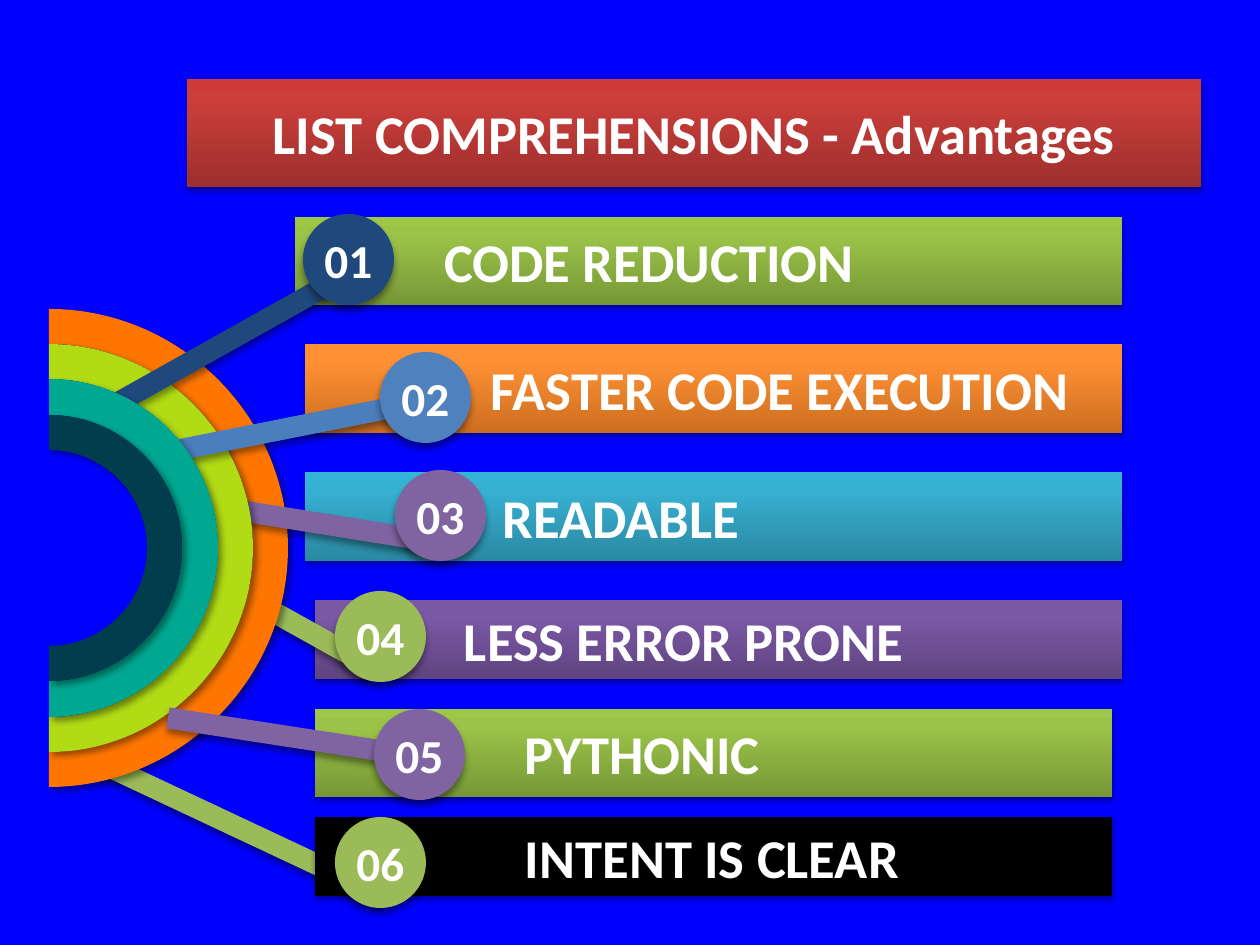
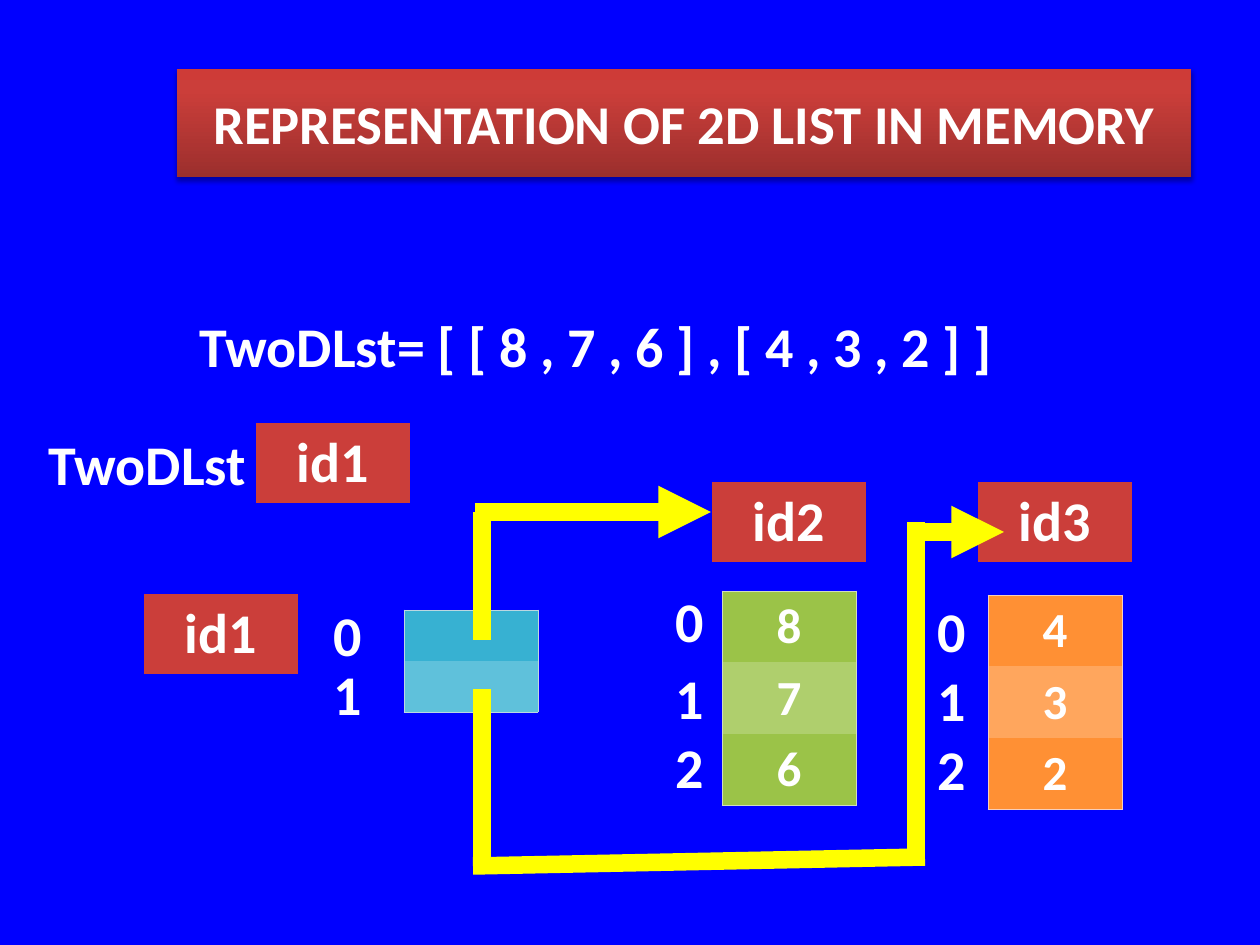
from copy import deepcopy
from dataclasses import dataclass

from lxml import etree
from pptx import Presentation
from pptx.dml.color import RGBColor
from pptx.enum.shapes import MSO_CONNECTOR, MSO_SHAPE
from pptx.enum.text import MSO_ANCHOR, MSO_AUTO_SIZE, PP_ALIGN
from pptx.oxml.ns import qn
from pptx.util import Pt

RECTANGLE, OVAL = MSO_SHAPE.RECTANGLE, MSO_SHAPE.OVAL
STRAIGHT = MSO_CONNECTOR.STRAIGHT
LEFT, CENTER, JUSTIFY = PP_ALIGN.LEFT, PP_ALIGN.CENTER, PP_ALIGN.JUSTIFY
TOP, MIDDLE = MSO_ANCHOR.TOP, MSO_ANCHOR.MIDDLE
NO_AUTOFIT = MSO_AUTO_SIZE.NONE
TITLE_ONLY = 5
EMU_PER_PX = 914400 / 126
SLIDE_SIZE = (1260, 945)
CURVE = 0.55  # handle length of a quarter circle, as a share of its radius


@dataclass(frozen=True)
class Theme:
    font: str = "Calibri"
    background: str = "0000FF"
    text: str = "FFFFFF"
    pointer: str = "FFFF00"
    identity: str = "CB3E3A"
    # Gradients run from the bottom edge up: 0, 80 and 100 percent
    red: tuple = ("9C2F2D", "CB3E3A", "CE3B37")
    green: tuple = ("779737", "9BC348", "9DC746")
    orange: tuple = ("CC6E20", "FF9034", "FF9136")
    teal: tuple = ("2A88A2", "37B1D2", "34B4D6")
    purple: tuple = ("5F4480", "7B58A6", "7C57A8")
    black: str = "000000"
    # Cells: plain row, lighter row, border
    teal_cells: tuple = ("37B1D2", "5FC1DB", "BCD7E1")
    green_cells: tuple = ("9BC348", "AFCF6D", "D0DCBF")
    orange_cells: tuple = ("FF9034", "FFA65D", "F7CEBB")
    spokes: tuple = ("1F497D", "4B7EBC", "8064A2", "9BBB59", "8064A2", "9BBB59")
    badges: tuple = ("1F497D", "4F81BD", "8064A2", "9BBB59", "8064A2", "9BBB59")
    rings: tuple = ("FE7600", "B1DB15", "00A891", "013D4D")
    # Shadows: opacity percent, blur pt, distance pt, direction degrees
    bar_shadow: tuple = (35, 3.1, 1.8, 90)
    arm_shadow: tuple = (40, 4, 3, 90)
    ring_shadow: tuple = (40, 4, 3, 45)
    heading_size: float = 31.2
    badge_size: float = 27
    label_size: float = 32
    value_size: float = 28
    spoke_width: float = 12
    pointer_width: float = 10
    border_width: float = 0.5


THEME = Theme()

# Offsets from the fan's box
BARS = [  # left, top, width, height, text inset, wording, fill
    (246, 3, 827, 88, 149, "CODE REDUCTION", THEME.green),
    (256, 130, 817, 89, 186, "FASTER CODE EXECUTION", THEME.orange),
    (256, 258, 817, 89, 198, "READABLE", THEME.teal),
    (266, 386, 807, 79, 149, "LESS ERROR PRONE", THEME.purple),
    (266, 495, 797, 88, 210, "PYTHONIC", THEME.green),
    (266, 603, 797, 79, 210, "INTENT IS CLEAR", THEME.black),
]
SPOKES = [
    (54, 197, 295, 62), (119, 238, 361, 190), (169, 293, 387, 328),
    (169, 367, 325, 454), (119, 504, 347, 539), (20, 534, 335, 682),
]
BADGES = [(254, 0), (331, 138), (346, 256), (286, 377), (325, 495), (286, 603)]
BADGE_DIAMETER = 91
RING_CENTER_Y = 334
RADII = (239, 204, 169, 133, 98)
ARMS_OVER_RINGS = [(3,), (2, 1), (), (5,)]

POINTERS = [  # start, end, has an arrowhead
    (482, 640, 482, 512, False),
    (475, 512, 711, 512, True),
    (482, 857, 482, 689, False),
    (916, 532, 1004, 532, True),
    (916, 857, 916, 522, False),
    (925, 857, 473, 866, False),
]


def px(length):
    return round(length * EMU_PER_PX)


def emu(*lengths):
    return [px(length) for length in lengths]


def rgb(color):
    return RGBColor.from_string(color)


def style_text(frame, text, size, align=LEFT):
    frame.text = text
    frame.vertical_anchor = MIDDLE
    paragraph = frame.paragraphs[0]
    paragraph.alignment = align
    for run in paragraph.runs:
        font = run.font
        font.name, font.size, font.bold = THEME.font, Pt(size), True
        font.color.rgb = rgb(THEME.text)


def add_shadow(properties, shadow):
    opacity, blur, distance, direction = shadow
    effects = properties.find(qn("a:effectLst"))
    outer = etree.SubElement(
        effects, qn("a:outerShdw"), blurRad=str(Pt(blur)), dist=str(Pt(distance)),
        dir=str(direction * 60000), algn="ctr", rotWithShape="0")
    color = etree.SubElement(outer, qn("a:srgbClr"), val="000000")
    etree.SubElement(color, qn("a:alpha"), val=str(opacity * 1000))


def finish(shape, paint, shadow):
    """Fill a shape with one colour or a gradient, without outline, and add a shadow."""
    fill = shape.fill
    if isinstance(paint, str):
        fill.solid()
        fill.fore_color.rgb = rgb(paint)
    else:
        fill.gradient()
        fill.gradient_angle = 90
        stops = shape.element.find(".//" + qn("a:gsLst"))
        stops.insert(1, deepcopy(stops[1]))
        for stop, position, color in zip(fill.gradient_stops, (0, 0.8, 1), paint):
            stop.position = position
            stop.color.rgb = rgb(color)
    shape.line.fill.background()
    shape.shadow.inherit = False
    add_shadow(shape.element.spPr, shadow)


def add_line(slide, ends, color, width, shadow=None, arrow=False):
    connector = slide.shapes.add_connector(STRAIGHT, *emu(*ends))
    connector.line.color.rgb = rgb(color)
    connector.line.width = Pt(width)
    properties = connector.element.spPr
    if arrow:
        etree.SubElement(properties.find(qn("a:ln")), qn("a:tailEnd"), type="triangle")
    etree.SubElement(properties, qn("a:effectLst"))
    if shadow:
        add_shadow(properties, shadow)


def add_label(slide, box, text, align=LEFT, wrap=False):
    label = slide.shapes.add_textbox(*emu(*box))
    label.text_frame.word_wrap = wrap
    style_text(label.text_frame, text, THEME.label_size, align)


def new_slide(deck, heading, box):
    """Start a slide with the red heading band."""
    slide = deck.slides.add_slide(deck.slide_layouts[TITLE_ONLY])
    title = slide.shapes.title
    title.left, title.top, title.width, title.height = emu(*box)
    finish(title, THEME.red, THEME.bar_shadow)
    title.text_frame.auto_size = NO_AUTOFIT
    title.text_frame.word_wrap = True
    style_text(title.text_frame, heading, THEME.heading_size, CENTER)
    return slide


# Advantages fan

def add_bar(slide, origin, bar):
    left, top, width, height, inset, text, paint = bar
    shape = slide.shapes.add_shape(
        RECTANGLE, *emu(origin[0] + left, origin[1] + top, width, height))
    finish(shape, paint, THEME.bar_shadow)
    shape.text_frame.margin_left = px(inset)
    style_text(shape.text_frame, text, THEME.heading_size)


def add_spoke(slide, origin, number):
    x, y = origin
    x1, y1, x2, y2 = SPOKES[number - 1]
    add_line(slide, (x + x1, y + y1, x + x2, y + y2), THEME.spokes[number - 1],
             THEME.spoke_width, THEME.arm_shadow)


def add_badge(slide, origin, number):
    left, top = BADGES[number - 1]
    badge = slide.shapes.add_shape(
        OVAL, *emu(origin[0] + left, origin[1] + top, BADGE_DIAMETER, BADGE_DIAMETER))
    finish(badge, THEME.badges[number - 1], THEME.arm_shadow)
    frame = badge.text_frame
    frame.margin_left = frame.margin_right = 0
    frame.margin_top = frame.margin_bottom = px(5)
    style_text(frame, f"{number:02}", THEME.badge_size, CENTER)


def round_segment(segment, leaves_sideways):
    """Turn a straight path segment into a quarter circle."""
    end = segment[0]
    start = segment.getprevious()[-1]
    x1, y1, x2, y2 = (int(point.get(axis)) for point in (start, end) for axis in "xy")
    near_x, near_y = x1 + CURVE * (x2 - x1), y1 + CURVE * (y2 - y1)
    far_x, far_y = x2 - CURVE * (x2 - x1), y2 - CURVE * (y2 - y1)
    handles = [(near_x, y1), (x2, far_y)] if leaves_sideways else [(x1, near_y), (far_x, y2)]
    curve = etree.Element(qn("a:cubicBezTo"))
    for x, y in handles:
        etree.SubElement(curve, qn("a:pt"), x=str(round(x)), y=str(round(y)))
    segment.getparent().replace(segment, curve)
    curve.append(end)


def add_half_ring(slide, center, outer, inner, color):
    x, y = center
    start, *corners = [emu(*point) for point in (
        (x, y - outer), (x + outer, y), (x, y + outer),
        (x, y + inner), (x + inner, y), (x, y - inner))]
    outline = slide.shapes.build_freeform(*start)
    outline.add_line_segments(corners, close=True)
    ring = outline.convert_to_shape()
    segments = list(ring.element.iter(qn("a:lnTo")))
    for index, leaves_sideways in ((0, True), (1, False), (3, True), (4, False)):
        round_segment(segments[index], leaves_sideways)
    finish(ring, color, THEME.ring_shadow)


def draw_fan(slide, origin):
    add_spoke(slide, origin, 6)
    for bar in BARS:
        add_bar(slide, origin, bar)
    add_spoke(slide, origin, 4)
    add_badge(slide, origin, 4)
    center = (origin[0], origin[1] + RING_CENTER_Y)
    for outer, inner, color, arms in zip(RADII, RADII[1:], THEME.rings, ARMS_OVER_RINGS):
        add_half_ring(slide, center, outer, inner, color)
        for number in arms:
            add_spoke(slide, origin, number)
            add_badge(slide, origin, number)
    add_badge(slide, origin, 6)


# Lists in memory

def set_borders(cell, color, sides):
    properties = cell._tc.get_or_add_tcPr()
    for index, side in enumerate(("lnL", "lnR", "lnT", "lnB")):
        border = etree.Element(qn(f"a:{side}"), w=str(Pt(THEME.border_width)))
        if side in sides:
            fill = etree.SubElement(border, qn("a:solidFill"))
            etree.SubElement(fill, qn("a:srgbClr"), val=color)
        else:
            etree.SubElement(border, qn("a:noFill"))
        properties.insert(index, border)


def add_cells(slide, box, values, size, colors, border=None):
    """Add a one-column table; box gives left, top, width and row height."""
    left, top, width, row_height = box
    table = slide.shapes.add_table(
        len(values), 1, *emu(left, top, width, row_height * len(values))).table
    table.first_row = table.horz_banding = False
    for row, value in enumerate(values):
        cell = table.cell(row, 0)
        cell.fill.solid()
        cell.fill.fore_color.rgb = rgb(colors[row % len(colors)])
        if value:
            style_text(cell.text_frame, value, size, CENTER)
            cell.vertical_anchor = TOP
        sides = {"lnL", "lnR"}
        if row == 0:
            sides.add("lnT")
        if row == len(values) - 1:
            sides.add("lnB")
        set_borders(cell, border, sides if border else ())


def add_identity(slide, left, top, name):
    add_cells(slide, (left, top, 154, 80), [name], THEME.label_size, [THEME.identity])


def draw_list(slide, origin, name, id_left, index_left, index_tops, cells, values, colors):
    x, y = origin
    cells_left, cells_top, row_height = cells
    add_identity(slide, x + id_left, y, name)
    add_cells(slide, (x + cells_left, y + cells_top, 134, row_height), values,
              THEME.value_size, colors[:2], colors[2])
    for index, top in enumerate(index_tops):
        add_label(slide, (x + index_left, y + top, 54, 81), str(index))


def draw_variable(slide, origin):
    x, y = origin
    add_label(slide, (x, y, 226, 81), "TwoDLst")
    add_identity(slide, x + 220, y, "id1")


def draw_memory(slide):
    add_label(slide, (187, 305, 1024, 81),
              "TwoDLst= [ [ 8 , 7 , 6 ] , [ 4 , 3 , 2 ] ]", JUSTIFY, wrap=True)
    draw_variable(slide, (36, 423))
    draw_list(slide, (144, 594), "id1", 0, 177, (0, 59), (260, 16, 51),
              ("", ""), THEME.teal_cells)
    draw_list(slide, (663, 482), "id2", 49, 0, (98, 175, 244), (59, 109, 71),
              "876", THEME.green_cells)
    draw_list(slide, (925, 482), "id3", 53, 0, (108, 177, 246), (63, 113, 71),
              "432", THEME.orange_cells)
    for *ends, arrow in POINTERS:
        add_line(slide, ends, THEME.pointer, THEME.pointer_width, arrow=arrow)


def main():
    deck = Presentation()
    deck.slide_width, deck.slide_height = emu(*SLIDE_SIZE)
    backdrop = deck.slide_master.background.fill
    backdrop.solid()
    backdrop.fore_color.rgb = rgb(THEME.background)

    advantages = new_slide(deck, "LIST COMPREHENSIONS - Advantages", (187, 79, 1014, 108))
    draw_fan(advantages, (49, 214))
    memory = new_slide(deck, "REPRESENTATION OF 2D LIST IN MEMORY", (177, 69, 1014, 108))
    draw_memory(memory)
    deck.save("out.pptx")


if __name__ == "__main__":
    main()
